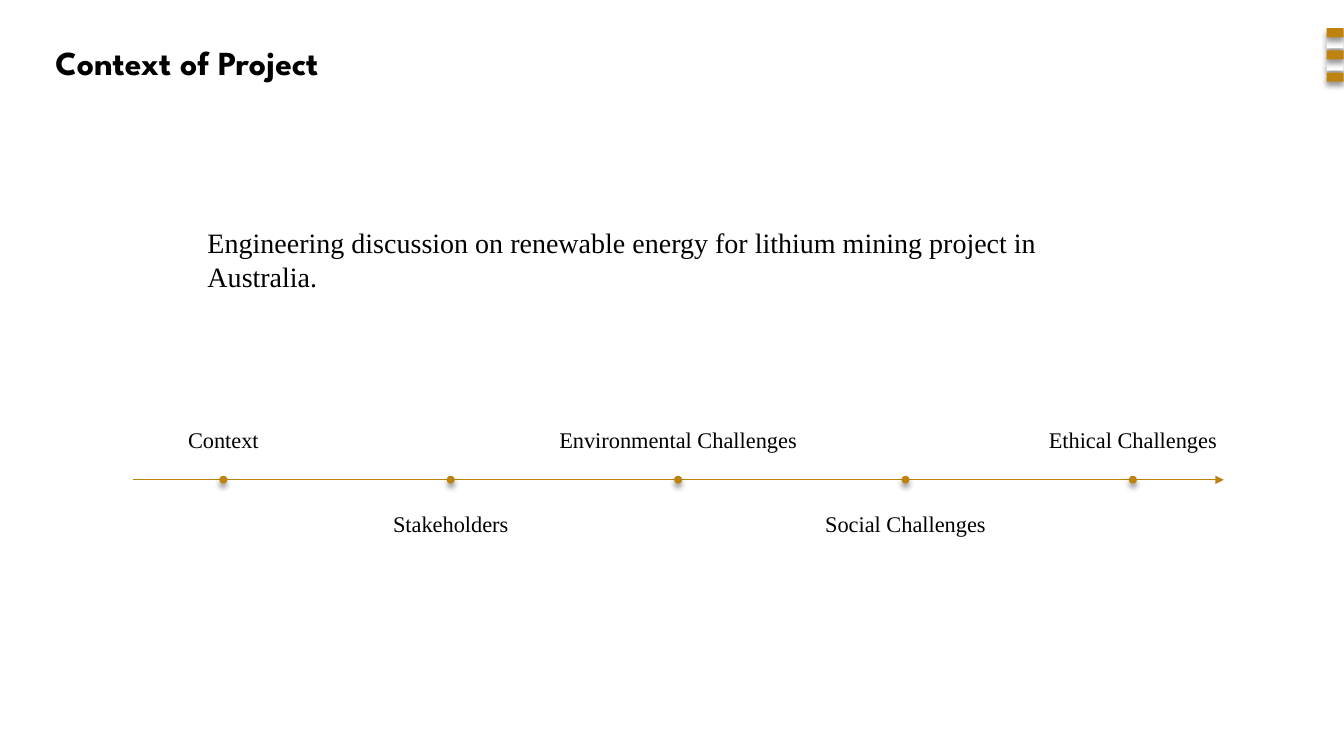
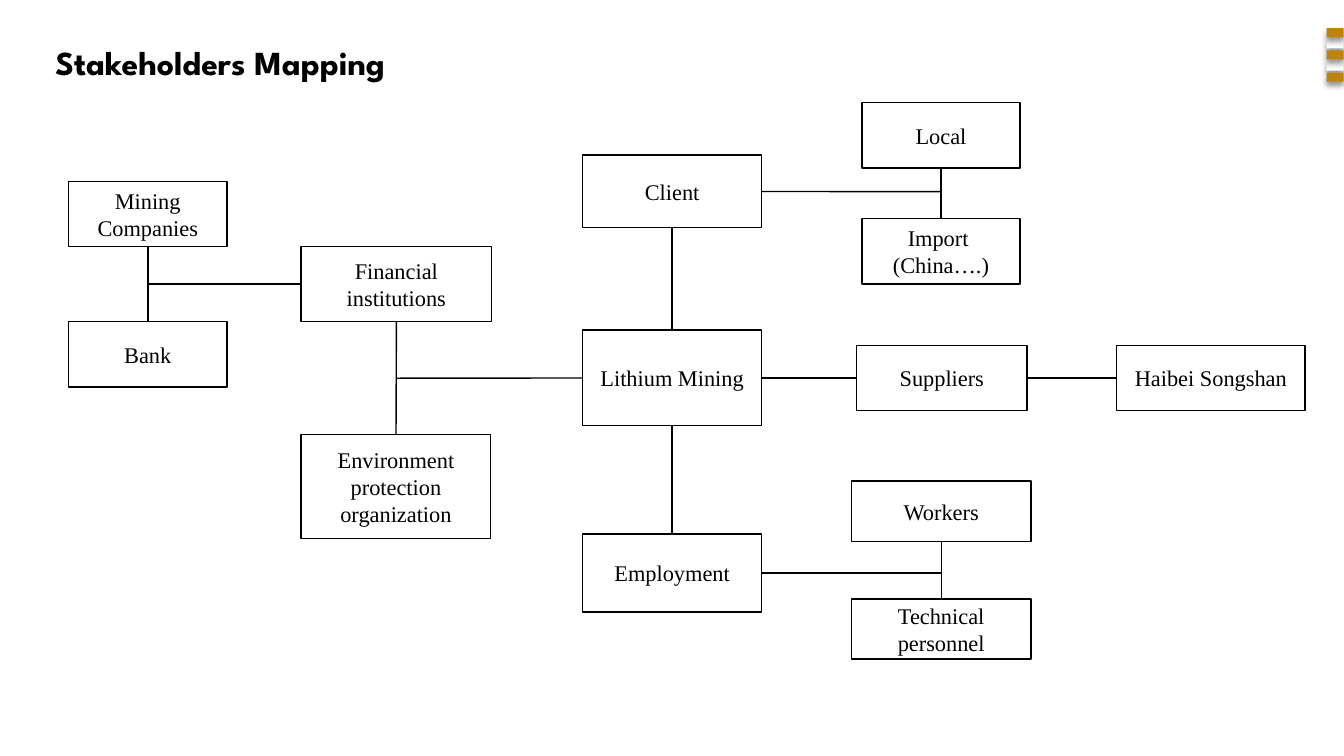
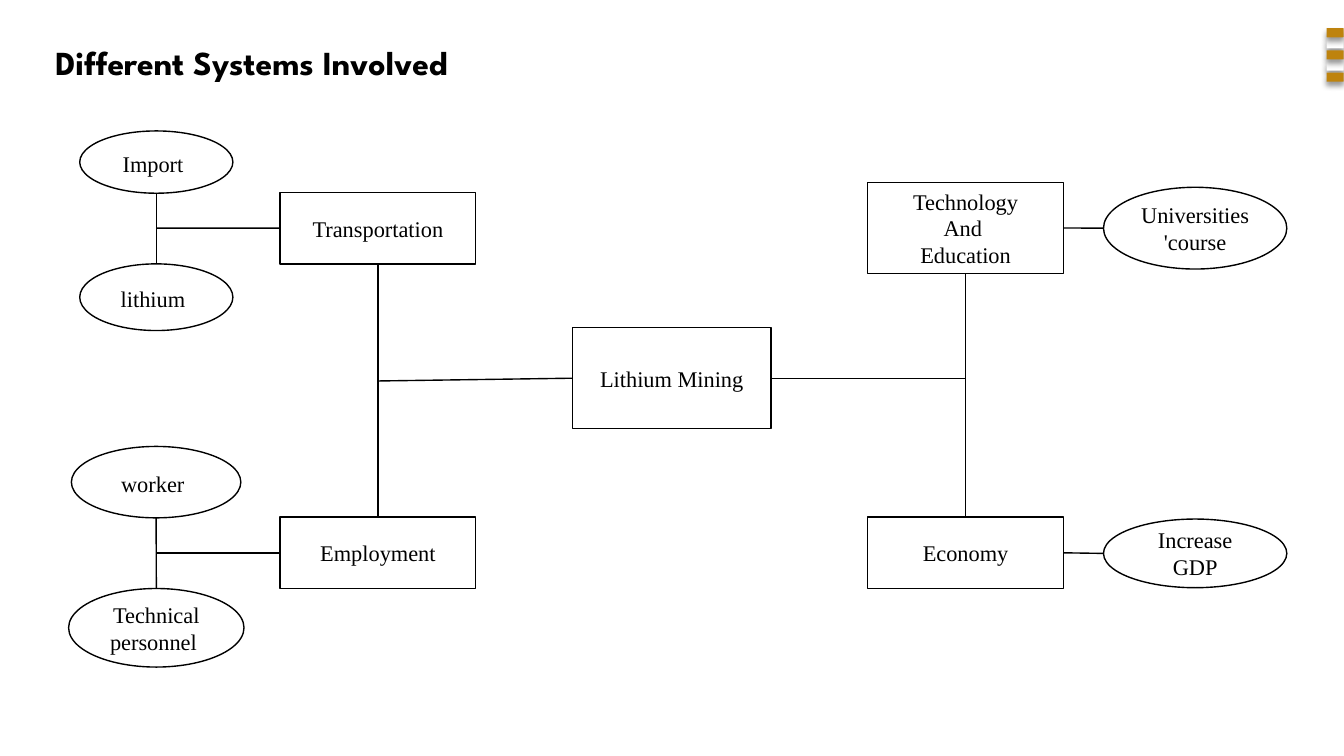
from dataclasses import dataclass

from lxml.etree import SubElement
from pptx import Presentation
from pptx.dml.color import RGBColor
from pptx.enum.shapes import MSO_CONNECTOR as Wire, MSO_SHAPE as Kind
from pptx.enum.text import MSO_ANCHOR as Anchor, MSO_AUTO_SIZE as Auto, PP_ALIGN as Align
from pptx.oxml.ns import qn
from pptx.util import Cm, Pt

GOLD, BLACK, WHITE = "BE830E", "000000", "FFFFFF"
HEAD, BODY = "League Spartan", "Times New Roman"
TOP, LEFT, BASE, RIGHT = range(4)


@dataclass
class Node:
    text: str
    x: float
    y: float
    w: float
    h: float
    oval: bool = False
    tail: bool = False

    @property
    def key(self) -> str:
        return self.text.split()[0]

    def spot(self, side: int) -> tuple[float, float]:
        mid, row = self.x + self.w / 2, self.y + self.h / 2
        return ((mid, self.y), (self.x, row),
                (mid, self.y + self.h), (self.x + self.w, row))[side]


@dataclass
class Link:
    node: str
    side: int
    goal: str | tuple[float, float]
    port: int = TOP


def color(code: str) -> RGBColor:
    return RGBColor.from_string(code)


def add_run(para, text: str, size: float, font: str = BODY, bold: bool = False) -> None:
    run = para.add_run()
    run.text = text
    run.font.name, run.font.size, run.font.bold = font, Pt(size), bold
    run.font.color.rgb = color(BLACK)


def add_shape(slide, kind, x: float, y: float, w: float, h: float, fill: str):
    shape = slide.shapes.add_shape(kind, Cm(x), Cm(y), Cm(w), Cm(h))
    shape.shadow.inherit = False
    shape.fill.solid()
    shape.fill.fore_color.rgb = color(fill)
    shape.line.fill.background()
    return shape


def add_shade(shape) -> None:
    glow = shape.element.spPr.find(qn("a:effectLst"))
    outer = SubElement(glow, qn("a:outerShdw"), blurRad="50800", dist="38100",
                       dir="5400000", rotWithShape="0")
    tint = SubElement(outer, qn("a:srgbClr"), val=BLACK)
    SubElement(tint, qn("a:alpha"), val="40000")


def add_line(slide, start: tuple[float, float], end: tuple[float, float],
             code: str, width: float):
    line = slide.shapes.add_connector(
        Wire.STRAIGHT, Cm(start[0]), Cm(start[1]), Cm(end[0]), Cm(end[1]))
    line.line.color.rgb = color(code)
    line.line.width = Pt(width)
    SubElement(line.element.spPr, qn("a:effectLst"))
    return line


def add_text(slide, text: str, x: float, y: float, w: float, h: float,
             size: float, align) -> None:
    frame = slide.shapes.add_textbox(Cm(x), Cm(y), Cm(w), Cm(h)).text_frame
    frame.word_wrap = True
    frame.auto_size = Auto.SHAPE_TO_FIT_TEXT
    para = frame.paragraphs[0]
    para.alignment = align
    add_run(para, text, size)


def add_slide(deck, text: str):
    slide = deck.slides.add_slide(deck.slide_layouts[5])
    for row in (3, 4, 1, 2, 0):
        bar = add_shape(slide, Kind.ROUNDED_RECTANGLE, 33.43, 0.71 + 0.28 * row,
                        0.43, 0.23, WHITE if row % 2 else GOLD)
        bar.adjustments[0] = 0.05
        add_shade(bar)
    title = slide.shapes.title
    title.left, title.top, title.width, title.height = Cm(1.14), Cm(0.94), Cm(11.28), Cm(1.27)
    frame = title.text_frame
    frame.word_wrap = True
    frame.auto_size = Auto.SHAPE_TO_FIT_TEXT
    frame.vertical_anchor = Anchor.TOP
    para = frame.paragraphs[0]
    para.alignment = Align.LEFT
    add_run(para, text, 24, HEAD, True)
    return slide


def add_node(slide, node: Node):
    kind = Kind.OVAL if node.oval else Kind.RECTANGLE
    shape = add_shape(slide, kind, node.x, node.y, node.w, node.h, WHITE)
    shape.line.color.rgb = color(BLACK)
    shape.line.width = Pt(1)
    frame = shape.text_frame
    frame.word_wrap = True
    frame.vertical_anchor = Anchor.MIDDLE
    for row, text in enumerate(node.text.split("\n")):
        para = frame.add_paragraph() if row else frame.paragraphs[0]
        para.alignment = Align.CENTER
        add_run(para, text, 16)
        if node.tail:
            add_run(para, " ", 19, HEAD)
    return shape


def add_map(slide, nodes: list[Node], links: list[Link]) -> None:
    items = {node.key: (node, add_node(slide, node)) for node in nodes}
    for link in links:
        node, shape = items[link.node]
        goal, other = items[link.goal] if isinstance(link.goal, str) else (None, None)
        end = goal.spot(link.port) if goal else link.goal
        line = add_line(slide, node.spot(link.side), end, BLACK, 1)
        if not node.oval:
            line.begin_connect(shape, link.side)
        if goal and not goal.oval:
            line.end_connect(other, link.port)


def add_plan(slide) -> None:
    axis = add_line(slide, (3.35, 12.09), (30.84, 12.09), GOLD, 0.5)
    SubElement(axis.element.spPr.find(qn("a:ln")), qn("a:tailEnd"), type="triangle")
    steps = ("Context", "Stakeholders", "Environmental Challenges",
             "Social Challenges", "Ethical Challenges")
    for rank, text in enumerate(steps):
        mid = 5.63 + 5.73 * rank
        dot = add_shape(slide, Kind.FLOWCHART_CONNECTOR, mid - 0.1, 11.99, 0.2, 0.2, GOLD)
        add_shade(dot)
        add_text(slide, text, mid - 3.29, 12.73 if rank % 2 else 10.62,
                 6.58, 0.94, 16, Align.CENTER)
    add_text(slide, "Engineering discussion on renewable energy for lithium mining "
             "project in Australia.", 4.98, 5.56, 24.08, 1.12, 20, Align.LEFT)


ACTORS = [
    Node("Lithium Mining", 14.68, 8.32, 4.52, 2.41),
    Node("Suppliers", 21.59, 8.71, 4.29, 1.63),
    Node("Local", 21.72, 2.59, 3.99, 1.65),
    Node("Employment", 14.68, 13.46, 4.52, 1.96),
    Node("Financial institutions", 7.59, 6.22, 4.8, 1.88),
    Node("Environment protection organization", 7.59, 10.95, 4.78, 2.62),
    Node("Mining Companies", 1.73, 4.57, 3.99, 1.65),
    Node("Bank", 1.73, 8.1, 3.99, 1.65),
    Node("Import \n(China….)", 21.72, 5.51, 3.99, 1.65),
    Node("Client", 14.68, 3.91, 4.52, 1.83),
    Node("Haibei Songshan", 28.14, 8.71, 4.75, 1.63),
    Node("Workers", 21.46, 12.12, 4.52, 1.52),
    Node("Technical personnel", 21.46, 15.09, 4.52, 1.52),
]
TIES = [
    Link("Lithium", TOP, "Client", BASE),
    Link("Employment", TOP, "Lithium", BASE),
    Link("Lithium", LEFT, (9.98, 9.53)),
    Link("Environment", TOP, "Financial", BASE),
    Link("Bank", TOP, "Mining", BASE),
    Link("Financial", LEFT, (3.72, 7.16)),
    Link("Import", TOP, "Local", BASE),
    Link("Suppliers", RIGHT, "Haibei", LEFT),
    Link("Suppliers", LEFT, "Lithium", RIGHT),
    Link("Technical", TOP, "Workers", BASE),
    Link("Client", RIGHT, (23.72, 4.83)),
    Link("Employment", RIGHT, (23.72, 14.44)),
]
PARTS = [
    Node("Transportation", 7.06, 4.85, 4.93, 1.8),
    Node("Employment", 7.06, 13.03, 4.93, 1.8),
    Node("Technology\nAnd \nEducation", 21.87, 4.6, 4.93, 2.29),
    Node("Lithium Mining", 14.43, 8.26, 5, 2.54),
    Node("Economy", 21.87, 13.03, 4.93, 1.8),
    Node("Import", 2.01, 3.3, 3.86, 1.57, True, True),
    Node("lithium", 2.01, 6.65, 3.86, 1.68, True, True),
    Node("worker", 1.8, 11.25, 4.27, 1.8, True, True),
    Node("Technical personnel ", 1.73, 14.83, 4.42, 1.98, True),
    Node("Universities 'course", 27.81, 4.72, 4.62, 2.06, True),
    Node("Increase GDP", 27.81, 13.08, 4.62, 1.73, True),
]
JOINTS = [
    Link("Transportation", BASE, "Employment", TOP),
    Link("Technology", BASE, "Economy", TOP),
    Link("Lithium", LEFT, (9.53, 9.6)),
    Link("Lithium", RIGHT, (24.33, 9.53)),
    Link("Import", BASE, "lithium", TOP),
    Link("Technical", TOP, "worker", BASE),
    Link("Universities", LEFT, "Technology", RIGHT),
    Link("Increase", LEFT, "Economy", RIGHT),
    Link("Transportation", LEFT, (3.94, 5.75)),
    Link("Employment", LEFT, (3.94, 13.93)),
]


def main() -> None:
    deck = Presentation()
    deck.slide_width, deck.slide_height = Cm(33.87), Cm(19.05)
    add_plan(add_slide(deck, "Context of Project"))
    add_map(add_slide(deck, "Stakeholders Mapping"), ACTORS, TIES)
    add_map(add_slide(deck, "Different Systems Involved"), PARTS, JOINTS)
    deck.save("out.pptx")


if __name__ == "__main__":
    main()
